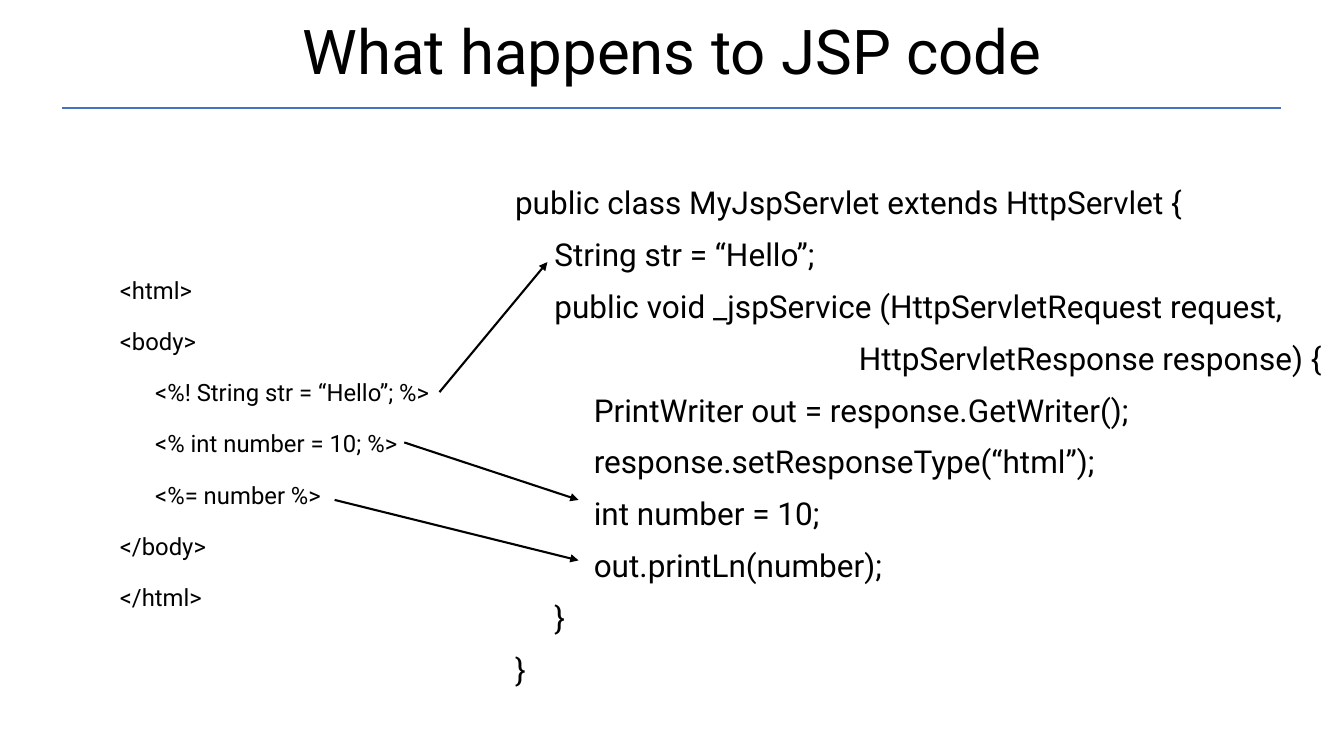
from dataclasses import dataclass

from lxml import etree
from pptx import Presentation
from pptx.dml.color import RGBColor
from pptx.enum.shapes import MSO_CONNECTOR
from pptx.enum.text import MSO_ANCHOR, PP_ALIGN
from pptx.oxml.ns import qn
from pptx.util import Inches, Pt

STRAIGHT = MSO_CONNECTOR.STRAIGHT
LEFT, CENTER = PP_ALIGN.LEFT, PP_ALIGN.CENTER
TOP, MIDDLE = MSO_ANCHOR.TOP, MSO_ANCHOR.MIDDLE
FONT, BLACK, BLUE = "Roboto", "000000", "4472C4"

prs = Presentation()
prs.slide_width, prs.slide_height = Inches(13.33), Inches(7.5)
s = prs.slides.add_slide(prs.slide_layouts[6])


@dataclass
class TextBlock:
    # Box and indents are percentages of the slide's size
    box: tuple[float, float, float, float]
    size: float
    lines: list[tuple[float, str]]
    spacing: float = 1.0
    before: float = 10
    align: PP_ALIGN = LEFT
    anchor: MSO_ANCHOR = TOP


@dataclass
class Line:
    # Ends are percentages of the slide's size
    start: tuple[float, float]
    end: tuple[float, float]
    color: str = BLACK
    arrow: bool = True


def x(share: float) -> int:
    return round(prs.slide_width * share / 100)


def y(share: float) -> int:
    return round(prs.slide_height * share / 100)


def rgb(color: str) -> RGBColor:
    return RGBColor.from_string(color)


def draw_text(block: TextBlock) -> None:
    left, top, width, height = block.box
    tf = s.shapes.add_textbox(x(left), y(top), x(width), y(height)).text_frame
    tf.word_wrap = True
    tf.vertical_anchor = block.anchor
    for i, (indent, text) in enumerate(block.lines):
        p = tf.add_paragraph() if i else tf.paragraphs[0]
        p.alignment = block.align
        p.line_spacing = block.spacing
        p.space_before = Pt(block.before)
        p._p.get_or_add_pPr().set("marL", str(x(indent)))
        r = p.add_run()
        r.text = text
        r.font.name, r.font.size = FONT, Pt(block.size)
        r.font.color.rgb = rgb(BLACK)


def draw_line(line: Line) -> None:
    (x1, y1), (x2, y2) = line.start, line.end
    c = s.shapes.add_connector(STRAIGHT, x(x1), y(y1), x(x2), y(y2))
    c.line.color.rgb = rgb(line.color)
    c.line.width = Pt(1.5)
    if line.arrow:
        etree.SubElement(c.line._get_or_add_ln(), qn("a:tailEnd"), type="triangle")
    etree.SubElement(c._element.spPr, qn("a:effectLst"))


JSP_STEP = 2.63
JAVA_STEP = 2.93
PARAMETER_INDENT = 25.58

# Title, JSP page and generated servlet
BLOCKS = [
    TextBlock((6.9, -2.67, 86.25, 19.87), 44.1, [(0, "What happens to JSP code")],
              spacing=0.9, before=0, align=CENTER, anchor=MIDDLE),
    TextBlock((8.18, 34.67, 25.35, 47.6), 17, [
        (0, "<html>"),
        (0, "<body>"),
        (JSP_STEP, "<%! String str = “Hello”; %>"),
        (JSP_STEP, "<% int number = 10; %>"),
        (JSP_STEP, "<%= number %>"),
        (0, "</body>"),
        (0, "</html>"),
    ], spacing=1.3),
    TextBlock((37.58, 23.6, 64.5, 69.73), 22.5, [
        (0, "public class MyJspServlet extends HttpServlet {"),
        (JAVA_STEP, "String str = “Hello”;"),
        (JAVA_STEP, "public void _jspService (HttpServletRequest request,"),
        (PARAMETER_INDENT, "HttpServletResponse response) {"),
        (2 * JAVA_STEP, "PrintWriter out = response.GetWriter();"),
        (2 * JAVA_STEP, "response.setResponseType(“html”);"),
        (2 * JAVA_STEP, "int number = 10;"),
        (2 * JAVA_STEP, "out.printLn(number);"),
        (JAVA_STEP, "}"),
        (0, "}"),
    ]),
]

# Arrows from JSP tags to servlet code, then the title rule
LINES = [
    Line((30.08, 58.53), (43.05, 66.13)),
    Line((32.7, 51.87), (40.73, 34.67)),
    Line((24.9, 66.13), (43.05, 74.13)),
    Line((4.65, 14.27), (95.33, 14.27), BLUE, arrow=False),
]

for block in BLOCKS:
    draw_text(block)
for line in LINES:
    draw_line(line)

prs.save("out.pptx")
